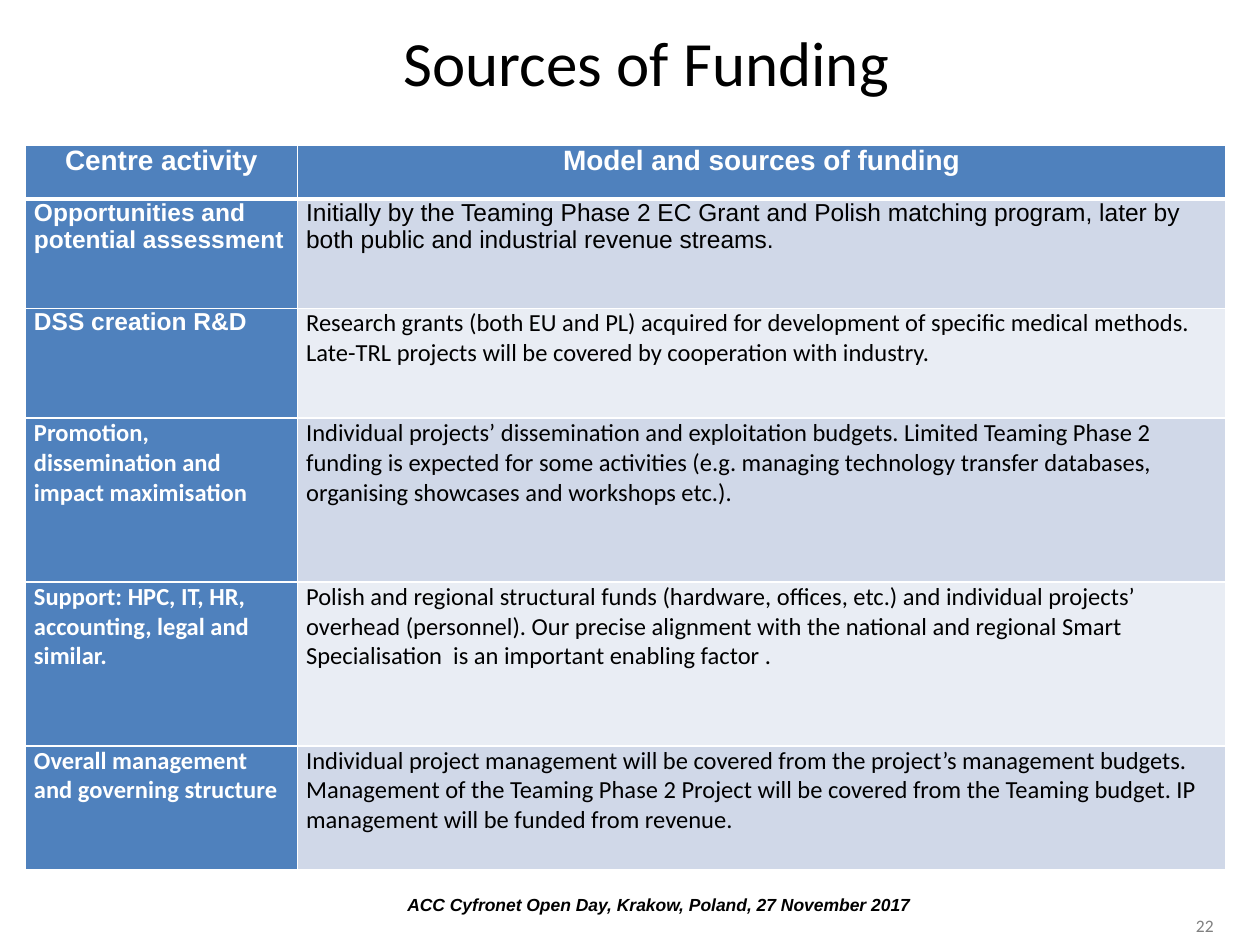
from lxml import etree
from pptx import Presentation
from pptx.dml.color import RGBColor
from pptx.enum.text import MSO_ANCHOR, PP_ALIGN
from pptx.oxml.ns import qn
from pptx.util import Inches, Pt

CENTER, LEFT, RIGHT = PP_ALIGN.CENTER, PP_ALIGN.LEFT, PP_ALIGN.RIGHT
TOP, MIDDLE = MSO_ANCHOR.TOP, MSO_ANCHOR.MIDDLE

BLACK = RGBColor(0x00, 0x00, 0x00)
WHITE = RGBColor(0xFF, 0xFF, 0xFF)
GREY = RGBColor(0x80, 0x80, 0x80)
BLUE = RGBColor(0x4F, 0x81, 0xBD)
BANDS = (RGBColor(0xD0, 0xD8, 0xE8), RGBColor(0xE9, 0xED, 0xF4))

COLUMN_WIDTHS = (2.16, 7.37)
ROW_HEIGHTS = (0.43, 0.87, 0.87, 1.3, 1.3, 0.98)
HEADER = ("Centre activity", "Model and sources of funding")

# Activity, its font, funding, its font
FUNDING = (
    ("Opportunities and potential assessment", "Arial",
     "Initially by the Teaming Phase 2 EC Grant and Polish matching program, "
     "later by both public and industrial revenue streams.", "Arial"),
    ("DSS creation R&D", "Arial",
     "Research grants (both EU and PL) acquired for development of specific "
     "medical methods. Late-TRL projects will be covered by cooperation with "
     "industry.", "Calibri"),
    ("Promotion, dissemination and impact maximisation", "Calibri",
     "Individual projects’ dissemination and exploitation budgets. Limited "
     "Teaming Phase 2 funding is expected for some activities (e.g. managing "
     "technology transfer databases, organising showcases and workshops etc.).",
     "Calibri"),
    ("Support: HPC, IT, HR, accounting, legal and similar.", "Calibri",
     "Polish and regional structural funds (hardware, offices, etc.) and "
     "individual projects’ overhead (personnel). Our precise alignment with "
     "the national and regional Smart Specialisation  is an important enabling "
     "factor .", "Calibri"),
    ("Overall management and governing structure", "Calibri",
     "Individual project management will be covered from the project’s "
     "management budgets. Management of the Teaming Phase 2 Project will be "
     "covered from the Teaming budget. IP management will be funded from "
     "revenue.", "Calibri"),
)


def style(p, font, size, color, align=LEFT, bold=False, italic=False):
    p.alignment = align
    p.font.name, p.font.size = font, Pt(size)
    p.font.bold, p.font.italic = bold, italic
    p.font.color.rgb = color


def add_text(s, box, text, anchor, *font, **options):
    tf = s.shapes.add_textbox(*map(Inches, box)).text_frame
    tf.word_wrap = True
    tf.vertical_anchor = anchor
    p = tf.paragraphs[0]
    p.text = text
    style(p, *font, **options)


def set_borders(cell, bottom):
    tc_pr = cell._tc.get_or_add_tcPr()
    for side, width in (("L", 1), ("R", 1), ("T", 1), ("B", bottom)):
        ln = etree.SubElement(tc_pr, qn(f"a:ln{side}"), w=str(Pt(width)))
        fill = etree.SubElement(ln, qn("a:solidFill"))
        etree.SubElement(fill, qn("a:srgbClr"), val=str(WHITE))


def fill_cell(cell, text, fill, *font, bottom=1, **options):
    set_borders(cell, bottom)
    cell.fill.solid()
    cell.fill.fore_color.rgb = fill
    cell.margin_left = cell.margin_right = Inches(0.07)
    cell.margin_top = cell.margin_bottom = 0
    p = cell.text_frame.paragraphs[0]
    p.text = text
    p.space_after = Pt(3)
    style(p, *font, **options)


def add_funding_table(s, left, top):
    table = s.shapes.add_table(
        len(ROW_HEIGHTS), len(COLUMN_WIDTHS), Inches(left), Inches(top),
        Inches(sum(COLUMN_WIDTHS)), Inches(sum(ROW_HEIGHTS))).table
    for column, width in zip(table.columns, COLUMN_WIDTHS):
        column.width = Inches(width)
    for row, height in zip(table.rows, ROW_HEIGHTS):
        row.height = Inches(height)

    # Header row, with a thicker rule below
    for i, text in enumerate(HEADER):
        fill_cell(table.cell(0, i), text, BLUE, "Arial", 16, WHITE,
                  bottom=3, align=CENTER, bold=True)

    # Banded body rows with a blue first column
    for i, (activity, activity_font, funding, funding_font) in enumerate(FUNDING):
        fill_cell(table.cell(i + 1, 0), activity, BLUE,
                  activity_font, 14, WHITE, bold=True)
        fill_cell(table.cell(i + 1, 1), funding, BANDS[i % 2],
                  funding_font, 14, BLACK)


def add_footer(s):
    add_text(s, (8.39, 7.23, 1.34, 0.23), "22", MIDDLE,
             "Calibri", 10, GREY, align=RIGHT)
    add_text(s, (2.27, 7.05, 5.95, 0.27),
             "ACC Cyfronet Open Day, Krakow, Poland, 27 November 2017 ", TOP,
             "Arial", 10, BLACK, align=CENTER, bold=True, italic=True)


def main():
    prs = Presentation()
    prs.slide_width, prs.slide_height = Inches(10), Inches(7.5)
    s = prs.slides.add_slide(prs.slide_layouts[6])
    add_footer(s)
    add_text(s, (1.57, 0.21, 7.12, 0.55), "Sources of Funding", MIDDLE,
             "Calibri", 36, BLACK, align=CENTER)
    add_funding_table(s, 0.2, 1.15)
    prs.save("out.pptx")


if __name__ == "__main__":
    main()
